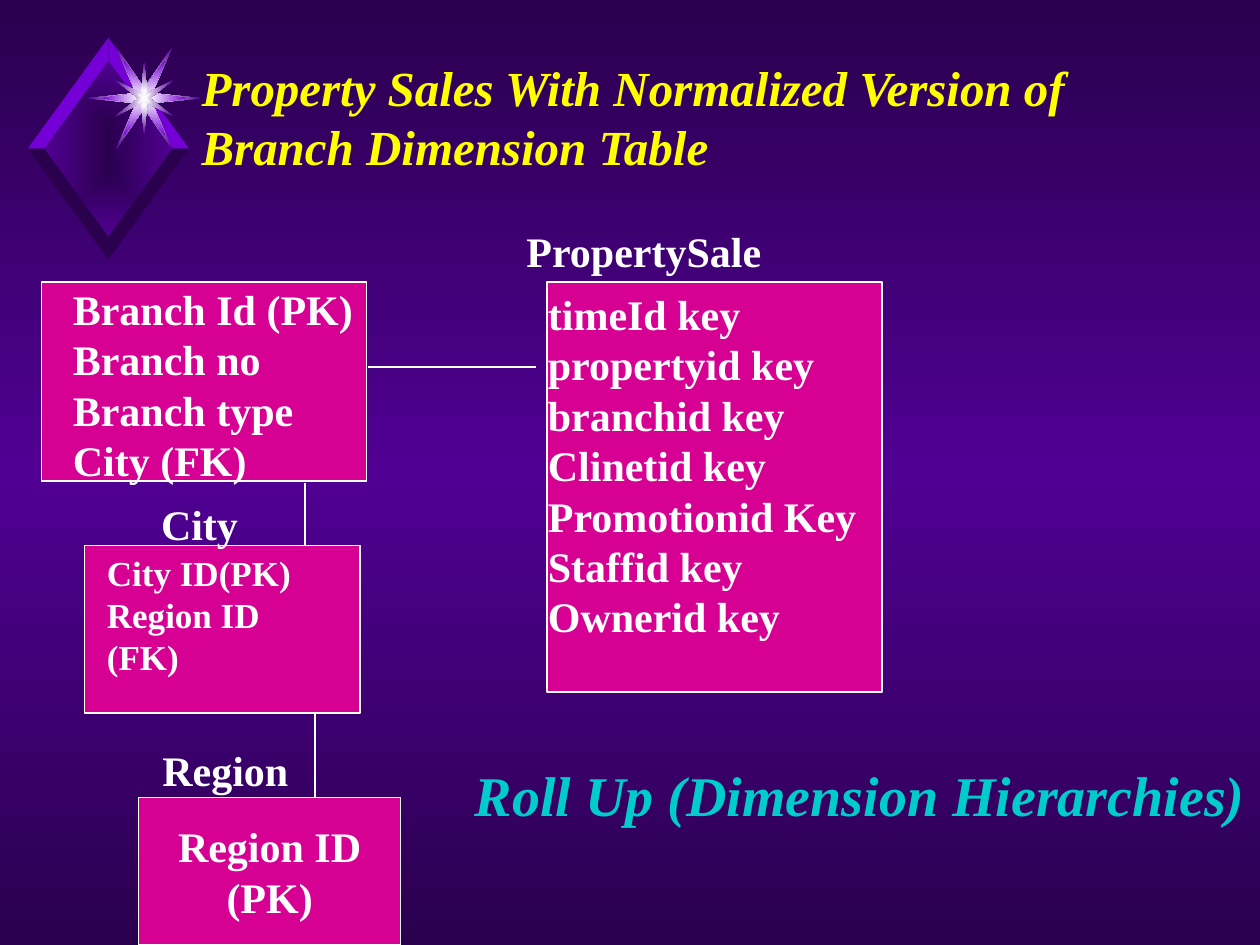
from lxml import etree
from pptx import Presentation
from pptx.dml.color import RGBColor
from pptx.enum.shapes import MSO_CONNECTOR, MSO_SHAPE
from pptx.enum.text import MSO_ANCHOR, MSO_AUTO_SIZE, PP_ALIGN
from pptx.oxml import parse_xml
from pptx.oxml.ns import nsdecls, qn
from pptx.util import Inches, Pt

THEME = {
    "font": "Times New Roman",
    "dark": "2A004E", "violet": "500093", "bright": "7500D7",
    "white": "FFFFFF", "glint": "F9F9F9", "card": "D60093",
    "title": "FFFF00", "caption": "00CCCC",
    "title_size": 28, "caption_size": 32, "text_size": 24, "small_size": 20,
    "line_width": 1,
}

TITLE = "Property Sales With Normalized Version of Branch Dimension Table"
TITLE_BOX = (1.5, 0.52, 7.75, 0.81)

CARDS = [
    (0.33, 2.24, 2.58, 1.58),
    (4.34, 2.24, 2.66, 3.25),
    (0.67, 4.33, 2.19, 1.33),
]
REGION_CARD = ((1.1, 6.33, 2.08, 1.17), ["Region ID", "(PK)"])

LINKS = [
    ((2.92, 2.91), (4.25, 2.91)),
    ((2.42, 3.83), (2.42, 4.33)),
    ((2.5, 5.66), (2.5, 6.33)),
]

SALE_KEYS = ["timeId key", "propertyid key", "branchid key", "Clinetid key",
             "Promotionid Key", "Staffid key", "Ownerid key"]
BRANCH_FIELDS = ["Branch Id (PK)", "Branch no", "Branch type", "City (FK)"]
TEXTS = [
    ((4.08, 1.74, 2.58, 0.5), ["PropertySale"], "text_size", True),
    ((4.25, 2.24, 3.08, 3.3), SALE_KEYS, "text_size", True),
    ((0.75, 4.33, 1.88, 1.44), ["City ID(PK)", "Region ID (FK)"], "small_size", True),
    ((1.18, 3.91, 1.33, 0.5), ["City"], "text_size", True),
    ((1.19, 5.86, 1.2, 0.5), ["Region"], "text_size", False),
    ((0.48, 2.2, 2.42, 1.7), BRANCH_FIELDS, "text_size", False),
]
CAPTION = ((3.67, 5.99, 6.32, 0.64), ["Roll Up (Dimension Hierarchies)"])

DIAMOND_CENTER = (0.86, 1.18)
OUTER, INNER = (0.64, 0.88), (0.51, 0.7)
STAR_CENTER = (1.145, 0.78)
STARS = [
    ([(0, -0.08), (0.225, -0.41), (0.065, -0.04), (0.455, 0)], ("white", "violet")),
    ([(0, -0.08), (0.165, -0.3), (0.065, -0.04), (0.335, 0)], ("white", "bright")),
    ([(0, -0.29), (0.025, -0.04), (0.235, -0.145), (0.045, 0)], ("white", "violet")),
    ([(0, -0.07), (0.01, -0.02), (0.055, -0.04), (0.02, 0)], ("glint",)),
]


def color(name):
    return RGBColor.from_string(THEME[name])


def box(values):
    return [Inches(value) for value in values]


def fill_gradient(fill, element, names, direction):
    fill.solid()
    solid = next(element.iter(qn("a:solidFill")))
    gradient = parse_xml(f'<a:gradFill {nsdecls("a")} rotWithShape="1"><a:gsLst/>{direction}</a:gradFill>')
    for index, name in enumerate(names):
        position = 100000 * index // (len(names) - 1)
        stop = etree.SubElement(gradient[0], qn("a:gs"), pos=str(position))
        etree.SubElement(stop, qn("a:srgbClr"), val=THEME[name])
    solid.getparent().replace(solid, gradient)


def add_outline(slide, center, offsets, names):
    points = [(1000 * (center[0] + x), 1000 * (center[1] + y)) for x, y in offsets]
    builder = slide.shapes.build_freeform(*points[0], scale=Inches(0.001))
    builder.add_line_segments(points[1:], close=True)
    shape = builder.convert_to_shape()
    shape.shadow.inherit = False
    shape.line.fill.background()
    if len(names) == 1:
        shape.fill.solid()
        shape.fill.fore_color.rgb = color(names[0])
    else:
        direction = ('<a:path path="rect"><a:fillToRect l="50000" t="50000" '
                     'r="50000" b="50000"/></a:path>')
        fill_gradient(shape.fill, shape.element.spPr, names, direction)


def add_emblem(slide):
    width, height = INNER
    diamond = [(0, -height), (width, 0), (0, height), (-width, 0)]
    add_outline(slide, DIAMOND_CENTER, diamond, ("dark", "violet"))
    for vertical, name in ((-1, "bright"), (1, "dark")):
        for side in (1, -1):
            facet = [(0, vertical * height), (0, vertical * OUTER[1]),
                     (side * OUTER[0], 0), (side * width, 0)]
            add_outline(slide, DIAMOND_CENTER, facet, (name,))
    for quarter, names in STARS:
        right = quarter + [(x, -y) for x, y in quarter[-2::-1]]
        left = [(-x, y) for x, y in right[-2:0:-1]]
        add_outline(slide, STAR_CENTER, right + left, names)


def write(frame, lines, size, color_name, italic=False, align=PP_ALIGN.LEFT):
    frame.text = "\n".join(lines)
    for paragraph in frame.paragraphs:
        paragraph.alignment = align
        for run in paragraph.runs:
            run.font.name = THEME["font"]
            run.font.size = Pt(THEME[size])
            run.font.bold = True
            run.font.italic = italic
            run.font.color.rgb = color(color_name)


def add_text(slide, place, lines, size, wrap, color_name="white", italic=False):
    frame = slide.shapes.add_textbox(*box(place)).text_frame
    frame.word_wrap = wrap
    frame.auto_size = MSO_AUTO_SIZE.SHAPE_TO_FIT_TEXT
    write(frame, lines, size, color_name, italic)


def outline_white(line):
    line.color.rgb = color("white")
    line.width = Pt(THEME["line_width"])


def add_card(slide, place):
    shape = slide.shapes.add_shape(MSO_SHAPE.RECTANGLE, *box(place))
    shape.shadow.inherit = False
    shape.fill.solid()
    shape.fill.fore_color.rgb = color("card")
    outline_white(shape.line)
    return shape


def add_link(slide, start, end):
    connector = slide.shapes.add_connector(MSO_CONNECTOR.STRAIGHT, *box(start + end))
    outline_white(connector.line)
    etree.SubElement(connector.element.spPr, qn("a:effectLst"))


def main():
    presentation = Presentation()
    presentation.slide_width, presentation.slide_height = Inches(10), Inches(7.5)
    slide = presentation.slides.add_slide(presentation.slide_layouts[5])
    fill_gradient(slide.background.fill, slide.element, ("dark", "violet", "dark"),
                  '<a:lin ang="5400000" scaled="0"/>')
    add_emblem(slide)

    title = slide.shapes.title
    title.left, title.top, title.width, title.height = box(TITLE_BOX)
    title.text_frame.word_wrap = True
    title.text_frame.auto_size = MSO_AUTO_SIZE.NONE
    title.text_frame.vertical_anchor = MSO_ANCHOR.MIDDLE
    write(title.text_frame, [TITLE], "title_size", "title", italic=True)

    for place in CARDS:
        add_card(slide, place)
    for start, end in LINKS:
        add_link(slide, start, end)
    place, lines = REGION_CARD
    region = add_card(slide, place).text_frame
    region.word_wrap = False
    region.vertical_anchor = MSO_ANCHOR.MIDDLE
    write(region, lines, "text_size", "white", align=PP_ALIGN.CENTER)
    for text in TEXTS:
        add_text(slide, *text)
    add_text(slide, *CAPTION, "caption_size", False, "caption", italic=True)
    presentation.save("out.pptx")


if __name__ == "__main__":
    main()
